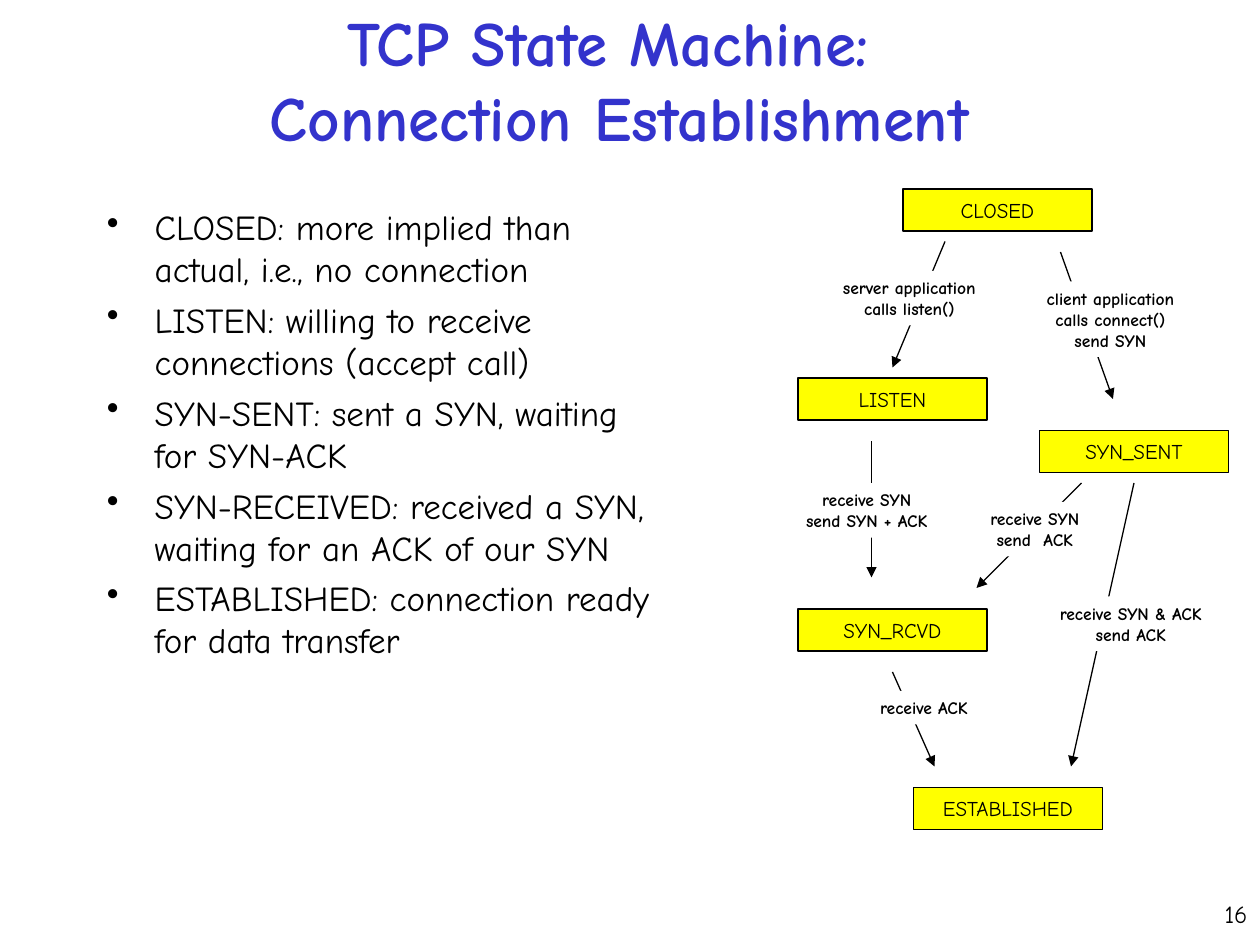
from lxml.etree import SubElement as Sub
from pptx import Presentation
from pptx.dml.color import RGBColor as RGB
from pptx.enum.shapes import MSO_CONNECTOR as Conn, MSO_SHAPE as Shape
from pptx.enum.text import MSO_ANCHOR as Anchor, PP_ALIGN as Align
from pptx.oxml.ns import qn
from pptx.util import Inches, Pt

HUES = {"ink": "000000", "title": "3333CC", "state": "FFFF00", "paper": "FFFFFF"}
FONT = "Comic Neue"
STATES = [
    ("CLOSED", 86, 18),
    ("LISTEN", 76, 36),
    ("SYN_SENT", 99, 41),
    ("SYN_RCVD", 76, 58),
    ("ESTABLISHED", 87, 75),
]
MOVES = [
    (90, 23, 85, 35),
    (101, 24, 106, 38),
    (83, 42, 83, 55),
    (103, 46, 93, 56),
    (108, 46, 102, 73),
    (85, 64, 89, 73),
]
LABELS = [
    (["server application", "calls listen()"], 79.1, 25.8, 15),
    (["client application", "calls connect()", "send SYN"], 98.5, 26.8, 14.5),
    (["receive SYN", "send SYN + ACK"], 75.6, 46, 13.9),
    (["receive SYN", "send  ACK"], 93.1, 47.8, 10.9),
    (["receive SYN & ACK", "send ACK"], 99.7, 56.8, 16),
    (["receive ACK"], 82.6, 65.8, 10.8),
]
POINTS = [
    "CLOSED: more implied than actual, i.e., no connection",
    "LISTEN: willing to receive connections (accept call)",
    "SYN-SENT: sent a SYN, waiting for SYN-ACK",
    "SYN-RECEIVED: received a SYN, waiting for an ACK of our SYN",
    "ESTABLISHED: connection ready for data transfer",
]


def unit(n):
    """Turn grid steps of a twelfth of an inch into a length."""
    return Inches(n / 12)


def hue(name):
    """Look up a named colour."""
    return RGB.from_string(HUES[name])


def bullet(para):
    """Give a paragraph a hanging round bullet."""
    props = para._p.get_or_add_pPr()
    props.set("marL", str(Inches(0.38)))
    props.set("indent", str(-Inches(0.38)))
    Sub(Sub(props, qn("a:buClr")), qn("a:srgbClr"), val=HUES["ink"])
    Sub(props, qn("a:buChar"), char="•")


def write(shape, lines, size, color="ink", bold=False, align=Align.CENTER,
          anchor=Anchor.TOP, wrap=True, dots=False, gap=0):
    """Fill a shape with formatted paragraphs."""
    frame = shape.text_frame
    frame.word_wrap = wrap
    frame.vertical_anchor = anchor
    for i, line in enumerate(lines):
        para = frame.add_paragraph() if i else frame.paragraphs[0]
        if dots:
            bullet(para)
        para.text = line
        para.alignment = align
        para.space_before = Pt(gap if i else 0)
        for run in para.runs:
            font = run.font
            font.name, font.size, font.bold = FONT, Pt(size), bold
            font.color.rgb = hue(color)


def text(slide, box, lines, size, **form):
    """Add a text box placed on the grid."""
    write(slide.shapes.add_textbox(*map(unit, box)), lines, size, **form)


def block(slide, box, fill, edge=False):
    """Add a filled rectangle placed on the grid."""
    rect = slide.shapes.add_shape(Shape.RECTANGLE, *map(unit, box))
    rect.shadow.inherit = False
    rect.fill.solid()
    rect.fill.fore_color.rgb = hue(fill)
    if edge:
        rect.line.color.rgb = hue("ink")
        rect.line.width = Pt(0.75)
    else:
        rect.line.fill.background()
    return rect


def arrow(slide, ends):
    """Add a thin arrow between two grid points."""
    line = slide.shapes.add_connector(Conn.STRAIGHT, *map(unit, ends))
    line.line.color.rgb = hue("ink")
    line.line.width = Pt(0.75)
    Sub(line.line._get_or_add_ln(), qn("a:tailEnd"), type="triangle")
    Sub(line._element.spPr, qn("a:effectLst"))


def main():
    """Build the state machine slide."""
    deck = Presentation()
    deck.slide_width, deck.slide_height = Inches(10), Inches(7.5)
    slide = deck.slides.add_slide(deck.slide_layouts[6])
    text(slide, (8, 0, 102, 15), ["TCP State Machine: \vConnection Establishment"],
         36, color="title", bold=True, anchor=Anchor.MIDDLE)
    text(slide, (9, 19, 55, 63), POINTS, 20, align=Align.LEFT, dots=True, gap=5)
    for ends in MOVES:
        arrow(slide, ends)
    for name, x, y in STATES:
        rect = block(slide, (x, y, 18, 4), "state", edge=True)
        write(rect, [name], 12, anchor=Anchor.MIDDLE, wrap=False)
    for lines, x, y, wide in LABELS:
        rect = block(slide, (x, y, wide, 1.2 + 2 * len(lines)), "paper")
        write(rect, lines, 10, bold=True, wrap=False)
    text(slide, (95, 85, 25, 6), ["16"], 14, align=Align.RIGHT)
    deck.save("out.pptx")


if __name__ == "__main__":
    main()
